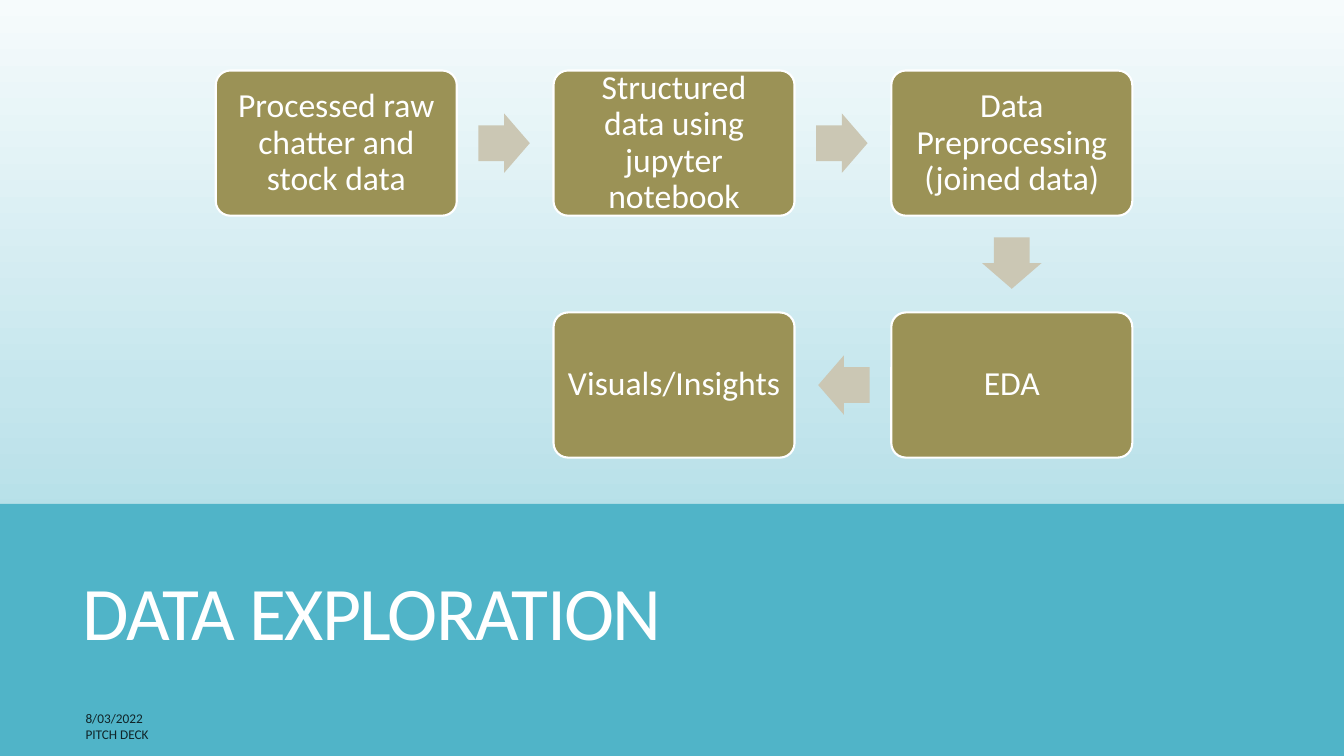
from lxml import etree
from pptx import Presentation
from pptx.dml.color import RGBColor
from pptx.enum.shapes import MSO_SHAPE as Preset
from pptx.enum.text import MSO_ANCHOR as Anchor, PP_ALIGN as Align
from pptx.oxml.ns import qn
from pptx.util import Inches, Pt

WIDTH, HEIGHT = 13.33, 7.5
BAND_TOP = HEIGHT * 2 / 3
FONT = "Calibri"
WHITE, BLACK, TEAL, OLIVE, SAND = "FFFFFF", "000000", "50B4C8", "9B9256", "CBC7B4"
SKY = [(0, "F6FBFC"), (52, "C5E6ED"), (74, "B0DDE6"), (83, "B0DDE6"), (100, "CBE8EE")]

CARD_WIDTH, CARD_HEIGHT = 2.39, 1.44
COLUMN_STEP, ROW_STEP = 3.35, 2.4
ARROW_WIDTH, ARROW_HEIGHT = 0.51, 0.59
ARROW_SHIFT = 0.01
STEPS = [
    (0, 0, "Processed raw chatter and stock data"),
    (1, 0, "Structured data using jupyter notebook"),
    (2, 0, "Data Preprocessing (joined data)"),
    (2, 1, "EDA"),
    (1, 1, "Visuals/Insights"),
]
ROTATIONS = {(1, 0): 0, (0, 1): 90, (-1, 0): 180}


def color(value):
    return RGBColor.from_string(value)


def add_box(slide, preset, box, fill, line=None):
    shape = slide.shapes.add_shape(preset, *map(Inches, box))
    shape.shadow.inherit = False
    shape.fill.solid()
    shape.fill.fore_color.rgb = color(fill)
    if line:
        shape.line.color.rgb = color(line)
        shape.line.width = Pt(1.5)
    else:
        shape.line.fill.background()
    return shape


def write(shape, text, size, tint, align=Align.LEFT, spacing=0.9):
    frame = shape.text_frame
    frame.word_wrap = True
    frame.vertical_anchor = Anchor.MIDDLE
    paragraph = frame.paragraphs[0]
    paragraph.alignment = align
    paragraph.line_spacing = spacing
    run = paragraph.add_run()
    run.text = text
    run.font.name = FONT
    run.font.size = Pt(size)
    run.font.color.rgb = color(tint)
    return run


def add_text(slide, box, *style, **options):
    return write(slide.shapes.add_textbox(*map(Inches, box)), *style, **options)


def paint_background(slide):
    fill = slide.background.fill
    fill.gradient()
    fill.gradient_angle = 270
    stops = slide.element.find(".//" + qn("a:gsLst"))
    for stop in list(stops):
        stops.remove(stop)
    for position, value in SKY:
        stop = etree.SubElement(stops, qn("a:gs"), pos=str(position * 1000))
        etree.SubElement(stop, qn("a:srgbClr"), val=value)


def add_card(slide, left, top, text):
    card = add_box(slide, Preset.ROUNDED_RECTANGLE,
                   (left, top, CARD_WIDTH, CARD_HEIGHT), OLIVE, WHITE)
    card.adjustments[0] = 0.1
    frame = card.text_frame
    frame.margin_left = frame.margin_right = Inches(0.1)
    frame.margin_top = frame.margin_bottom = Inches(0.1)
    write(card, text, 24, WHITE, Align.CENTER)


def add_arrow(slide, center_x, center_y, rotation):
    arrow = add_box(slide, Preset.RIGHT_ARROW,
                    (center_x - ARROW_WIDTH / 2, center_y - ARROW_HEIGHT / 2,
                     ARROW_WIDTH, ARROW_HEIGHT), SAND)
    arrow.adjustments[0] = 0.6
    arrow.adjustments[1] = 0.5
    arrow.rotation = rotation


def add_flow(slide, left, top):
    places = [(left + column * COLUMN_STEP, top + row * ROW_STEP)
              for column, row, text in STEPS]
    for (x, y), (column, row, text) in zip(places, STEPS):
        add_card(slide, x, y, text)
    for index, (start, end) in enumerate(zip(places, places[1:])):
        across = STEPS[index + 1][0] - STEPS[index][0]
        down = STEPS[index + 1][1] - STEPS[index][1]
        add_arrow(slide,
                  (start[0] + end[0] + CARD_WIDTH) / 2 - across * ARROW_SHIFT,
                  (start[1] + end[1] + CARD_HEIGHT) / 2 - down * ARROW_SHIFT,
                  ROTATIONS[across, down])


def add_title_band(slide, top):
    add_box(slide, Preset.RECTANGLE, (0, top, WIDTH, HEIGHT - top), TEAL)
    title = add_text(slide, (0.72, top + 0.22, 11.78, 1.81),
                     "DATA EXPLORATION", 54, WHITE, spacing=0.85)
    title.font._element.set("spc", "-120")
    for text, offset, width in [("8/03/2022", 2.01, 4.5), ("PITCH DECK", 2.17, 5.5)]:
        label = add_text(slide, (0.75, top + offset, width, 0.25), text, 9.5, BLACK)
        tint = label.font._element.find(".//" + qn("a:srgbClr"))
        etree.SubElement(tint, qn("a:alpha"), val="80000")


def main():
    presentation = Presentation()
    presentation.slide_width = Inches(WIDTH)
    presentation.slide_height = Inches(HEIGHT)
    slide = presentation.slides.add_slide(presentation.slide_layouts[6])
    paint_background(slide)
    add_title_band(slide, BAND_TOP)
    add_flow(slide, 2.14, 0.7)
    presentation.save("out.pptx")


if __name__ == "__main__":
    main()
